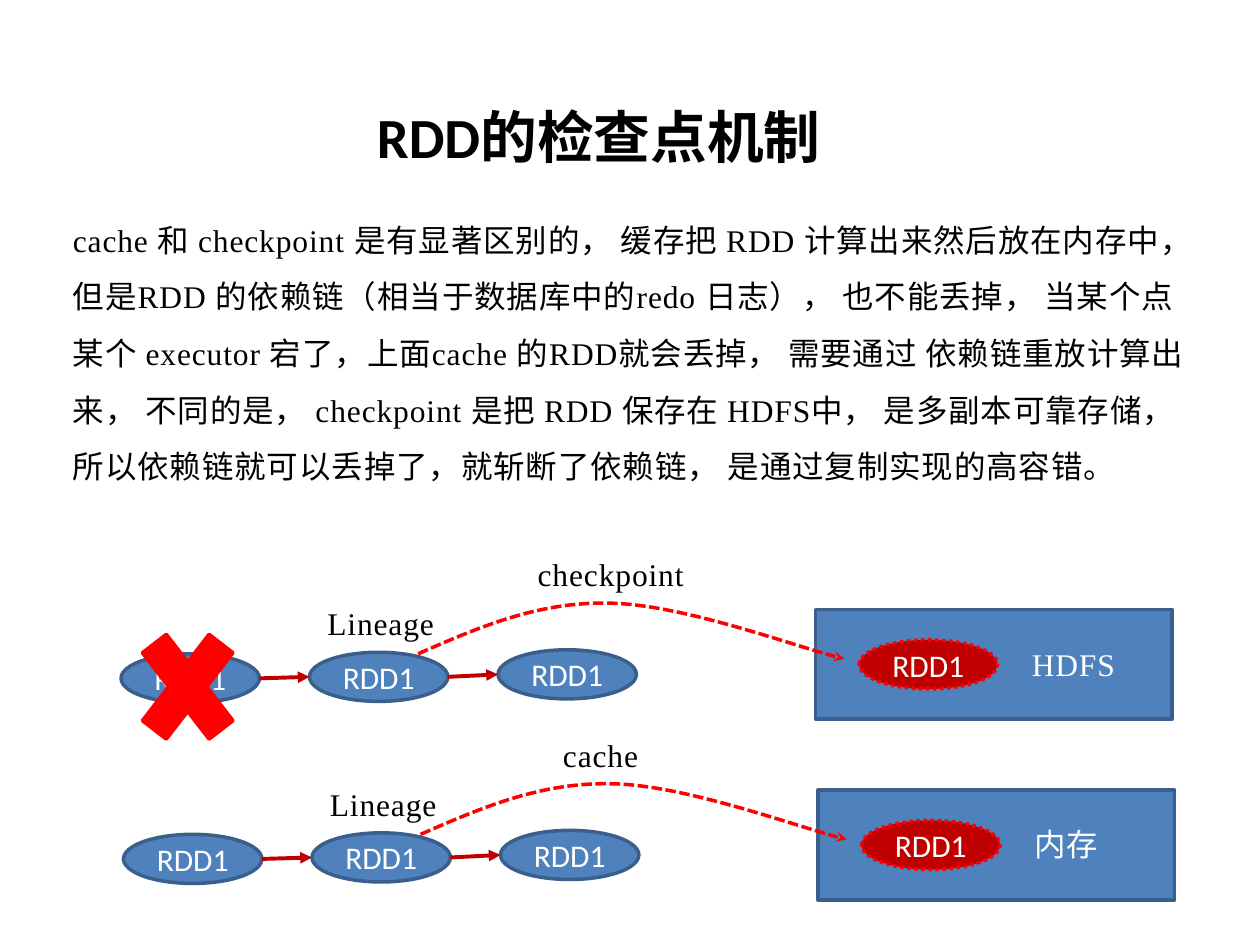
"""Builds a slide contrasting RDD checkpointing with caching."""
from dataclasses import dataclass
from itertools import pairwise

from lxml import etree
from pptx import Presentation
from pptx.dml.color import RGBColor
from pptx.enum.dml import MSO_LINE
from pptx.enum.shapes import MSO_CONNECTOR, MSO_SHAPE
from pptx.enum.text import MSO_ANCHOR, MSO_AUTO_SIZE, PP_ALIGN
from pptx.oxml.ns import qn
from pptx.util import Cm, Pt

OVAL, RECTANGLE, CROSS = MSO_SHAPE.OVAL, MSO_SHAPE.RECTANGLE, MSO_SHAPE.MATH_MULTIPLY
STRAIGHT = MSO_CONNECTOR.STRAIGHT
DASHED, DOTTED = MSO_LINE.SQUARE_DOT, MSO_LINE.ROUND_DOT
MIDDLE, CENTER = MSO_ANCHOR.MIDDLE, PP_ALIGN.CENTER
GROW = MSO_AUTO_SIZE.SHAPE_TO_FIT_TEXT

BLACK, WHITE, RED, DARK_RED = "000000", "FFFFFF", "FF0000", "C00000"
BLUE, DARK_BLUE = "4F81BD", "3A5F8C"
SANS, SERIF = "Calibri", "Times New Roman"

NODE_WIDTH, NODE_HEIGHT, NODE_STEP = 2.79, 0.99, 3.8
NODE_TOPS = (0.89, 0.86, 0.81)
LABEL_HEIGHT = 1.02
CURVE = ((5.99, 0.89), (7.16, 0.38), (8.36, -0.15), (9.78, -0.13),
         (11.23, -0.13), (13.77, 0.81), (14.58, 0.99))

TITLE = "RDD的检查点机制"
BODY = (
    "cache 和 checkpoint 是有显著区别的， 缓存把 RDD 计算出来然后放在内存中，"
    "但是RDD 的依赖链（相当于数据库中的redo 日志）， 也不能丢掉， "
    "当某个点某个 executor 宕了，上面cache 的RDD就会丢掉， "
    "需要通过 依赖链重放计算出来， 不同的是， checkpoint 是把 RDD 保存在 HDFS中， "
    "是多副本可靠存储，所以依赖链就可以丢掉了，就斩断了依赖链， 是通过复制实现的高容错。"
)


@dataclass(frozen=True)
class Box:
    left: float
    top: float
    width: float
    height: float

    def lengths(self):
        return Cm(self.left), Cm(self.top), Cm(self.width), Cm(self.height)


@dataclass(frozen=True)
class Lineage:
    left: float
    top: float
    action: str
    action_left: float
    action_width: float
    store: str
    store_width: float


LINEAGES = (
    Lineage(2.49, 15.93, "cache", 8.61, 2.06, "内存", 1.83),
    Lineage(2.44, 12.29, "checkpoint", 8.15, 3.51, "HDFS", 2.24),
)


def color(value: str) -> RGBColor:
    return RGBColor.from_string(value)


def set_font(para, name: str, size: float, shade: str, bold: bool = False) -> None:
    para.font.name, para.font.size, para.font.bold = name, Pt(size), bold
    para.font.color.rgb = color(shade)


def set_line(line, shade: str, width: float, dash=None, head: str = "") -> None:
    line.color.rgb = color(shade)
    line.width = Pt(width)
    if dash is not None:
        line.dash_style = dash
    if head:
        etree.SubElement(line._get_or_add_ln(), qn("a:tailEnd"), type=head)


def add_shape(page, kind, box: Box, fill: str, outline: str, text: str = "", dash=None):
    shape = page.shapes.add_shape(kind, *box.lengths())
    shape.shadow.inherit = False
    shape.fill.solid()
    shape.fill.fore_color.rgb = color(fill)
    set_line(shape.line, outline, 2, dash)
    if text:
        frame = shape.text_frame
        frame.word_wrap, frame.vertical_anchor = False, MIDDLE
        para = frame.paragraphs[0]
        para.text, para.alignment = text, CENTER
        set_font(para, SANS, 18, WHITE)
    return shape


def add_text(page, box: Box, text: str, shade: str = BLACK, wrap: bool = False):
    frame = page.shapes.add_textbox(*box.lengths()).text_frame
    frame.word_wrap, frame.auto_size = wrap, GROW
    para = frame.paragraphs[0]
    span = para.add_run()
    span.text = text
    span.font._element.set("spc", "50")
    set_font(para, SERIF, 18, shade)
    return para


def add_title(page) -> None:
    frame = page.shapes.add_textbox(*Box(5.11, 2.03, 13.92, 1.4).lengths()).text_frame
    frame.word_wrap, frame.vertical_anchor = True, MIDDLE
    para = frame.paragraphs[0]
    para.text, para.alignment = TITLE, CENTER
    set_font(para, SANS, 32.4, BLACK, True)


def add_arrow(page, start: Box, end: Box) -> None:
    middle = NODE_HEIGHT / 2
    arrow = page.shapes.add_connector(
        STRAIGHT, Cm(start.left + NODE_WIDTH), Cm(start.top + middle),
        Cm(end.left), Cm(end.top + middle))
    set_line(arrow.line, DARK_RED, 2.25, head="triangle")
    etree.SubElement(arrow._element.spPr, qn("a:effectLst"))


def add_curve(page, left: float, top: float) -> None:
    points = [(Cm(left + x), Cm(top + y)) for x, y in CURVE]
    builder = page.shapes.build_freeform(*points[0])
    builder.add_line_segments(points[1:], close=False)
    curve = builder.convert_to_shape()
    curve.shadow.inherit = False
    curve.fill.background()
    set_line(curve.line, RED, 2, DASHED, "stealth")
    outline = next(curve._element.iter(qn("a:path")))
    segments = outline.findall(qn("a:lnTo"))
    for first in range(0, len(segments), 3):
        bezier = etree.SubElement(outline, qn("a:cubicBezTo"))
        for segment in segments[first:first + 3]:
            bezier.append(segment[0])
            outline.remove(segment)


def add_lineage(page, row: Lineage) -> None:
    def place(x: float, y: float, width: float, height: float) -> Box:
        return Box(row.left + x, row.top + y, width, height)

    nodes = [place(index * NODE_STEP, top, NODE_WIDTH, NODE_HEIGHT)
             for index, top in enumerate(NODE_TOPS)]
    for node in nodes:
        add_shape(page, OVAL, node, BLUE, DARK_BLUE, "RDD1")
    for start, end in pairwise(nodes):
        add_arrow(page, start, end)
    add_text(page, place(3.91, -0.23, 2.69, LABEL_HEIGHT), "Lineage")
    add_shape(page, RECTANGLE, place(14, 0, 7.19, 2.21), BLUE, DARK_BLUE)
    add_curve(page, row.left, row.top)
    saved = place(14.88, 0.61, NODE_WIDTH, NODE_HEIGHT)
    add_shape(page, OVAL, saved, DARK_RED, RED, "RDD1", DOTTED)
    add_text(page, place(18.11, 0.58, row.store_width, LABEL_HEIGHT), row.store, WHITE)
    add_text(page, place(row.action_left, -1.22, row.action_width, LABEL_HEIGHT), row.action)


def main() -> None:
    deck = Presentation()
    deck.slide_width, deck.slide_height = Cm(25.4), Cm(19.05)
    page = deck.slides.add_slide(deck.slide_layouts[6])
    add_title(page)
    body = add_text(page, Box(1.22, 3.94, 23.01, 6.02), BODY, wrap=True)
    body.line_spacing = 1.5
    for row in LINEAGES:
        add_lineage(page, row)
    add_shape(page, CROSS, Box(2.49, 12.17, 2.59, 3.35), RED, RED)
    deck.save("out.pptx")


if __name__ == "__main__":
    main()
